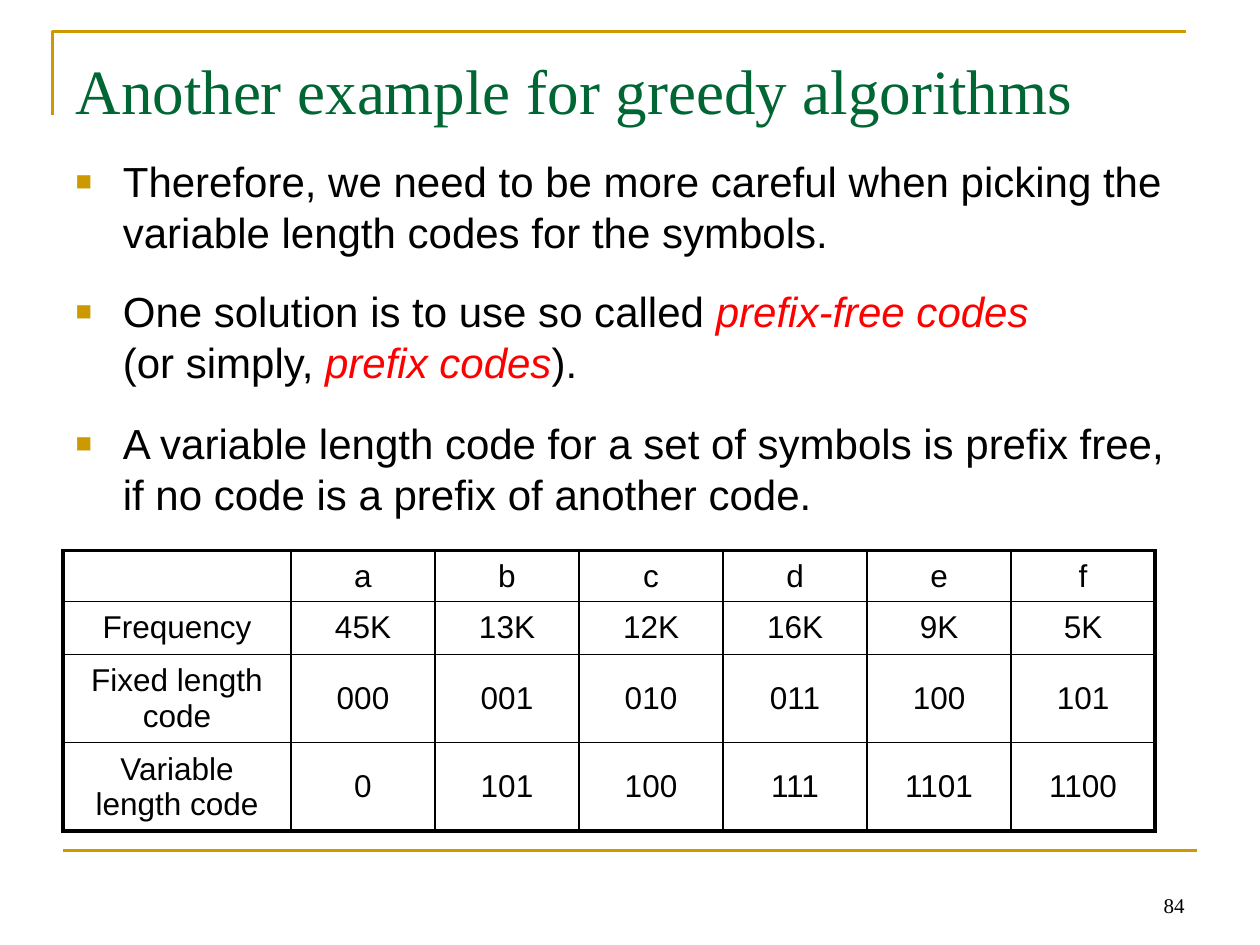
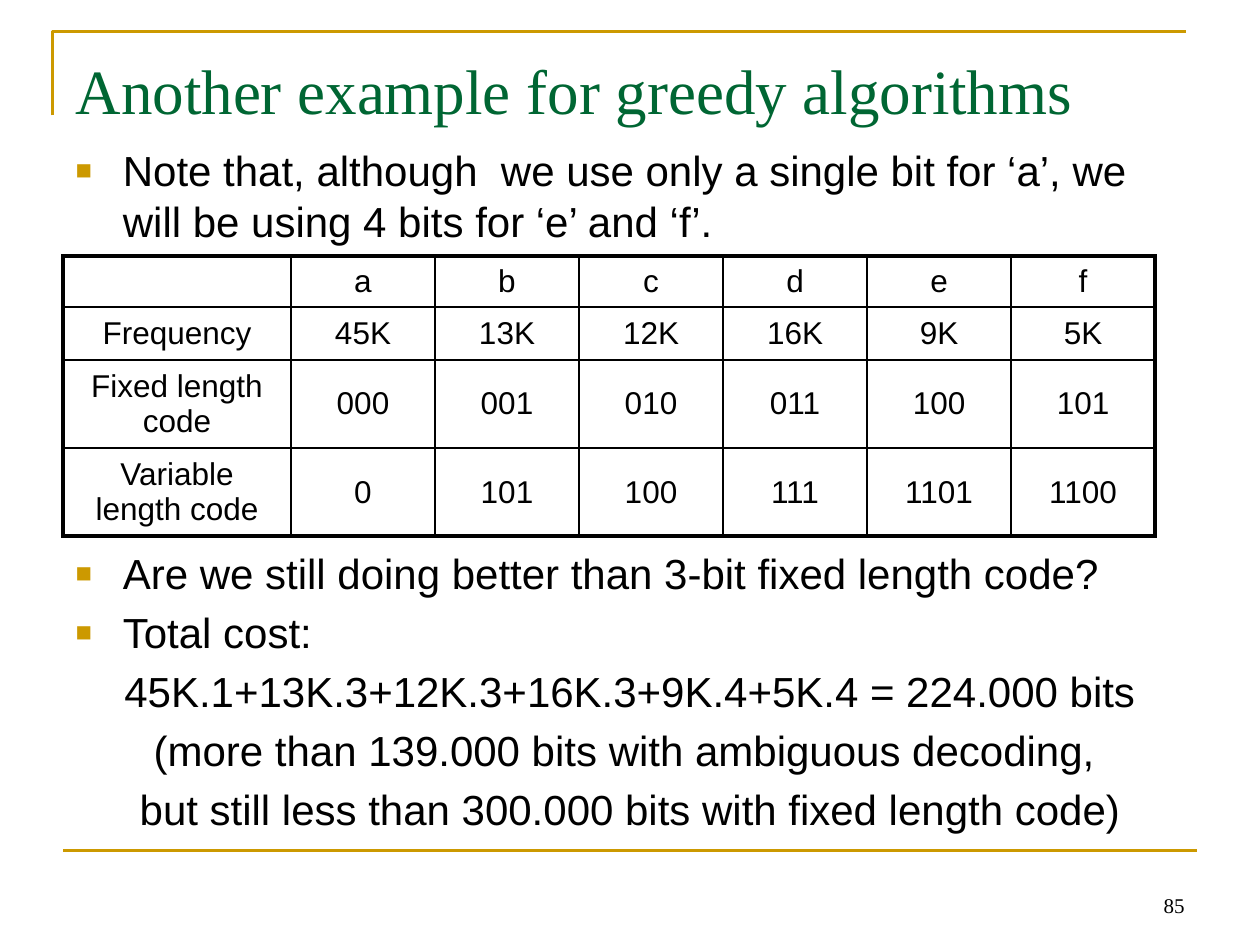
from typing import NamedTuple, Optional

from lxml import etree
from pptx import Presentation
from pptx.dml.color import RGBColor
from pptx.enum import text as t
from pptx.oxml import ns
from pptx.util import Pt

GOLD = RGBColor(0xCC, 0x99, 0x00)
GREEN = RGBColor(0x00, 0x66, 0x33)
RED = RGBColor(0xFF, 0x00, 0x00)
BLACK = RGBColor(0x00, 0x00, 0x00)
SANS, SERIF = "Arial", "Times New Roman"

HEADING = "Another example for greedy algorithms"
LINE_PITCH, HANGING = 28.9, 27
THIN, THICK = 1, 2.25
COLUMN_WIDTHS = [130.3] + [82.3] * 6
ROW_HEIGHTS = [28.8, 30.2, 50.4, 50.4]
CODES = [
    ["", "a", "b", "c", "d", "e", "f"],
    ["Frequency", "45K", "13K", "12K", "16K", "9K", "5K"],
    ["Fixed length code", "000", "001", "010", "011", "100", "101"],
    ["Variable length code", "0", "101", "100", "111", "1101", "1100"],
]


class Item(NamedTuple):
    """A body paragraph; text between asterisks is an emphasised term."""
    text: str
    before: float = 4.8
    bullet: bool = True


class Page(NamedTuple):
    number: int
    body_top: float
    table_top: float
    items: list[Item]


PAGES = [
    Page(84, 84.2, 314.6, [
        Item("Therefore, we need to be more careful when picking the "
             "variable length codes for the symbols.", before=0),
        Item("One solution is to use so called *prefix-free codes\n*"
             "(or simply, *prefix codes*).", before=16.4),
        Item("A variable length code for a set of symbols is prefix free, "
             "if no code is a prefix of another code.", before=17.4),
    ]),
    Page(85, 77.8, 146.2, [
        Item("Note that, although  we use only a single bit for ‘a’, we "
             "will be using 4 bits for ‘e’ and ‘f’.", before=0),
        # Room for the table
        Item("Are we still doing better than 3-bit fixed length code?", before=172.5),
        Item("Total cost:"),
        Item("45K.1+13K.3+12K.3+16K.3+9K.4+5K.4 = 224.000 bits", bullet=False),
        Item("(more than 139.000 bits with ambiguous decoding, ", bullet=False),
        Item("but still less than 300.000 bits with fixed length code)", bullet=False),
    ]),
]


def write(paragraph, words: str, *, size: float, font: str = SANS,
          color: RGBColor = BLACK, italic: bool = False,
          align: Optional[t.PP_ALIGN] = None) -> None:
    """Append formatted words; a newline becomes a line break."""
    if align is not None:
        paragraph.alignment = align
    for index, line in enumerate(words.split("\n")):
        if index:
            paragraph.add_line_break()
        if line:
            run = paragraph.add_run()
            run.text = line
            run.font.size, run.font.name = Pt(size), font
            run.font.italic = italic
            run.font.color.rgb = color


def place(shape, left: float, top: float, width: float, height: float) -> None:
    shape.left, shape.top = Pt(left), Pt(top)
    shape.width, shape.height = Pt(width), Pt(height)


def set_frame(frame, anchor: t.MSO_ANCHOR, margin_top: float = 3.6) -> None:
    frame.word_wrap = True
    frame.auto_size = t.MSO_AUTO_SIZE.NONE
    frame.vertical_anchor = anchor
    frame.margin_top = Pt(margin_top)


def set_bullet(paragraph, shown: bool) -> None:
    props = paragraph._p.get_or_add_pPr()
    props.set("marL", str(Pt(HANGING)))
    props.set("indent", str(-Pt(HANGING)))
    if not shown:
        etree.SubElement(props, ns.qn("a:buNone"))
        return
    color = etree.SubElement(props, ns.qn("a:buClr"))
    etree.SubElement(color, ns.qn("a:srgbClr"), val=str(GOLD))
    etree.SubElement(props, ns.qn("a:buSzPct"), val="65000")
    etree.SubElement(props, ns.qn("a:buFont"), typeface=SANS)
    etree.SubElement(props, ns.qn("a:buChar"), char="■")


def set_borders(cell, widths: dict[str, float]) -> None:
    props = cell._tc.get_or_add_tcPr()
    for index, (side, width) in enumerate(widths.items()):
        border = etree.Element(ns.qn(f"a:{side}"), w=str(Pt(width)))
        fill = etree.SubElement(border, ns.qn("a:solidFill"))
        etree.SubElement(fill, ns.qn("a:srgbClr"), val=str(BLACK))
        props.insert(index, border)


def add_frame_lines(slide) -> None:
    """Gold corner above the title and gold rule above the footer."""
    builder = slide.shapes.build_freeform(Pt(30), Pt(66))
    builder.add_line_segments([(Pt(30), Pt(18)), (Pt(678), Pt(18))], close=False)
    corner = builder.convert_to_shape()
    corner.shadow.inherit = False
    corner.fill.background()
    rule = slide.shapes.add_connector(1, Pt(36), Pt(486), Pt(684), Pt(486))
    etree.SubElement(rule._element.spPr, ns.qn("a:effectLst"))
    for gold_line in (corner.line, rule.line):
        gold_line.color.rgb = GOLD
        gold_line.width = Pt(1.5)


def add_page_number(slide, number: int) -> None:
    footer = slide.shapes.add_textbox(Pt(516), Pt(492), Pt(168), Pt(36)).text_frame
    set_frame(footer, t.MSO_ANCHOR.BOTTOM)
    write(footer.paragraphs[0], str(number), size=12, font=SERIF,
          align=t.PP_ALIGN.RIGHT)


def fill_title(slide) -> None:
    title = slide.shapes.title
    place(title, 36, 21.6, 648, 90)
    set_frame(title.text_frame, t.MSO_ANCHOR.TOP, margin_top=8)
    write(title.text_frame.paragraphs[0], HEADING, size=36, font=SERIF,
          color=GREEN, align=t.PP_ALIGN.LEFT)


def fill_body(slide, top: float, items: list[Item]) -> None:
    body = slide.placeholders[1]
    place(body, 36, top, 648, 356.4)
    frame = body.text_frame
    set_frame(frame, t.MSO_ANCHOR.TOP, margin_top=4.8)
    for index, item in enumerate(items):
        paragraph = frame.add_paragraph() if index else frame.paragraphs[0]
        paragraph.line_spacing = Pt(LINE_PITCH)
        paragraph.space_before = Pt(item.before)
        set_bullet(paragraph, item.bullet)
        align = t.PP_ALIGN.LEFT if item.bullet else t.PP_ALIGN.CENTER
        for part, words in enumerate(item.text.split("*")):
            term = part % 2 == 1
            write(paragraph, words, size=24, color=RED if term else BLACK,
                  italic=term, align=align)


def add_code_table(slide, top: float) -> None:
    last_row, last_column = len(ROW_HEIGHTS) - 1, len(COLUMN_WIDTHS) - 1
    table = slide.shapes.add_table(
        len(ROW_HEIGHTS), len(COLUMN_WIDTHS), Pt(36), Pt(top),
        Pt(sum(COLUMN_WIDTHS)), Pt(sum(ROW_HEIGHTS))).table
    table.first_row = table.horz_banding = False
    for column, width in zip(table.columns, COLUMN_WIDTHS):
        column.width = Pt(width)
    for r, (row, height) in enumerate(zip(table.rows, ROW_HEIGHTS)):
        row.height = Pt(height)
        for c, cell in enumerate(row.cells):
            cell.fill.background()
            cell.vertical_anchor = t.MSO_ANCHOR.MIDDLE
            write(cell.text_frame.paragraphs[0], CODES[r][c], size=18,
                  align=t.PP_ALIGN.CENTER)
            # Thick outline, thin inner grid
            outer = {"lnL": c == 0, "lnR": c == last_column,
                     "lnT": r == 0, "lnB": r == last_row}
            set_borders(cell, {side: THICK if edge else THIN
                               for side, edge in outer.items()})


def main() -> None:
    deck = Presentation()
    deck.slide_width, deck.slide_height = Pt(720), Pt(540)
    for page in PAGES:
        slide = deck.slides.add_slide(deck.slide_layouts[1])
        add_frame_lines(slide)
        add_page_number(slide, page.number)
        fill_title(slide)
        fill_body(slide, page.body_top, page.items)
        add_code_table(slide, page.table_top)
    deck.save("out.pptx")


if __name__ == "__main__":
    main()
